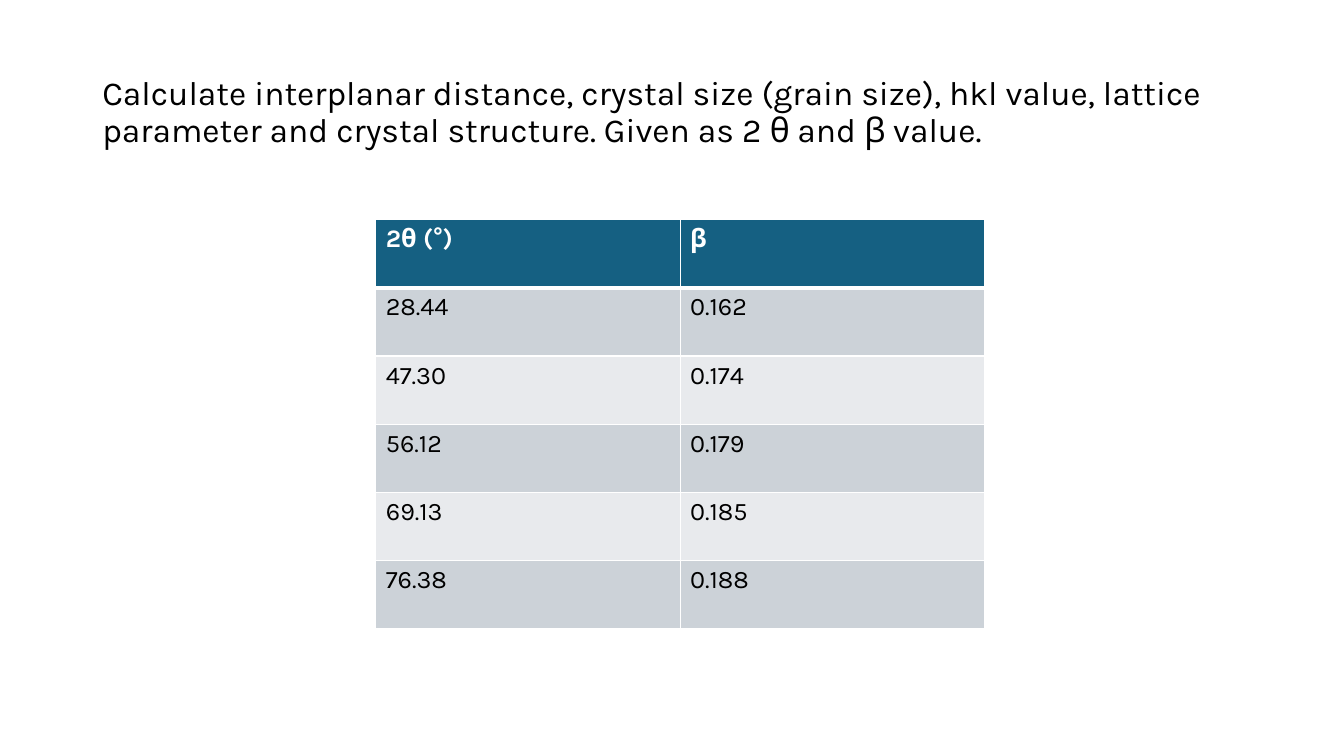
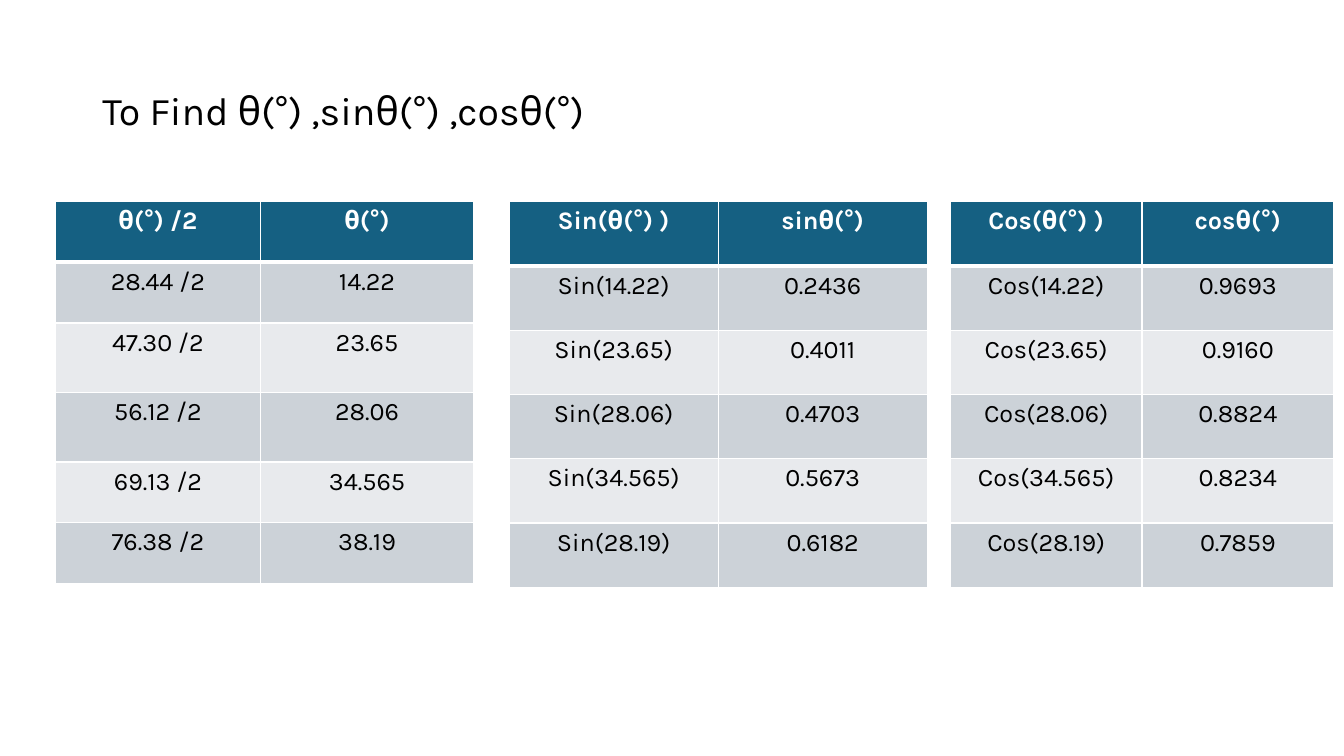
from lxml import etree
from pptx import Presentation
from pptx.dml.color import RGBColor
from pptx.enum.text import MSO_ANCHOR, PP_ALIGN
from pptx.oxml.ns import qn
from pptx.util import Cm, Pt

FONT = "Karla"
WHITE = RGBColor(0xFF, 0xFF, 0xFF)
BLACK = RGBColor(0x00, 0x00, 0x00)
HEADER = RGBColor(0x15, 0x60, 0x82)
BAND_DARK = RGBColor(0xCC, 0xD2, 0xD8)
BAND_LIGHT = RGBColor(0xE8, 0xEA, 0xED)


def add_title(s, text, size):
    tf = s.shapes.add_textbox(Cm(2.33), Cm(1.01), Cm(29.21), Cm(3.68)).text_frame
    tf.word_wrap = True
    tf.vertical_anchor = MSO_ANCHOR.MIDDLE
    p = tf.paragraphs[0]
    p.line_spacing = 0.9
    r = p.add_run()
    r.text = text
    r.font.name, r.font.size, r.font.color.rgb = FONT, Pt(size), BLACK


def add_banded_table(s, left, top, col_widths, row_heights, rows, align):
    tbl = s.shapes.add_table(len(rows), len(col_widths), Cm(left), Cm(top),
                             Cm(sum(col_widths)), Cm(sum(row_heights))).table
    for col, width in zip(tbl.columns, col_widths):
        col.width = Cm(width)
    for i, (row, height, texts) in enumerate(zip(tbl.rows, row_heights, rows)):
        row.height = Cm(height)
        for cell, text in zip(row.cells, texts):
            # White borders, thicker under the header
            borders = {"a:lnL": 1, "a:lnR": 1, "a:lnT": 3 if i == 1 else 1,
                       "a:lnB": 3 if i == 0 else 1}
            tcPr = cell._tc.get_or_add_tcPr()
            for tag, width in borders.items():
                ln = etree.SubElement(tcPr, qn(tag), w=str(Pt(width)))
                fill = etree.SubElement(ln, qn("a:solidFill"))
                etree.SubElement(fill, qn("a:srgbClr"), val=str(WHITE))
            cell.fill.solid()
            cell.fill.fore_color.rgb = (
                HEADER if i == 0 else BAND_DARK if i % 2 else BAND_LIGHT)
            p = cell.text_frame.paragraphs[0]
            p.alignment = align
            r = p.add_run()
            r.text = text
            r.font.name, r.font.size, r.font.bold = FONT, Pt(18), i == 0
            r.font.color.rgb = BLACK if i else WHITE


prs = Presentation()
prs.slide_width, prs.slide_height = Cm(33.87), Cm(19.05)
blank = prs.slide_layouts[6]

# Measured data
two_theta = ["28.44", "47.30", "56.12", "69.13", "76.38"]
beta = ["0.162", "0.174", "0.179", "0.185", "0.188"]
theta = ["14.22", "23.65", "28.06", "34.565", "38.19"]
angles = theta[:4] + ["28.19"]
sines = ["0.2436", "0.4011", "0.4703", "0.5673", "0.6182"]
cosines = ["0.9693", "0.9160", "0.8824", "0.8234", "0.7859"]

# Slide 1: the problem
s = prs.slides.add_slide(blank)
add_title(s, "Calculate interplanar distance, crystal size (grain size), hkl value, "
             "lattice parameter and crystal structure. Given as 2 θ and β value.", 24)
add_banded_table(s, 9.47, 5.53, [7.67] * 2, [1.72] * 6,
                 [("2θ (°)", "β"), *zip(two_theta, beta)], PP_ALIGN.LEFT)

# Slide 2: theta, sine and cosine
s = prs.slides.add_slide(blank)
add_title(s, "To Find θ(°) ,sinθ(°) ,cosθ(°)", 28)
even_rows = [1.62] * 6
tables = [
    (1.4, [5.16, 5.38], [1.53, 1.53, 1.75, 1.75, 1.53, 1.53],
     [("θ(°) /2", "θ(°)"), *zip([f"{a} /2" for a in two_theta], theta)]),
    (12.83, [5.27] * 2, even_rows,
     [("Sin(θ(°) )", "sinθ(°)"), *zip([f"Sin({a})" for a in angles], sines)]),
    (23.95, [4.83] * 2, even_rows,
     [("Cos(θ(°) )", "cosθ(°)"), *zip([f"Cos({a})" for a in angles], cosines)]),
]
for left, col_widths, row_heights, rows in tables:
    add_banded_table(s, left, 5.08, col_widths, row_heights, rows, PP_ALIGN.CENTER)

prs.save("out.pptx")
